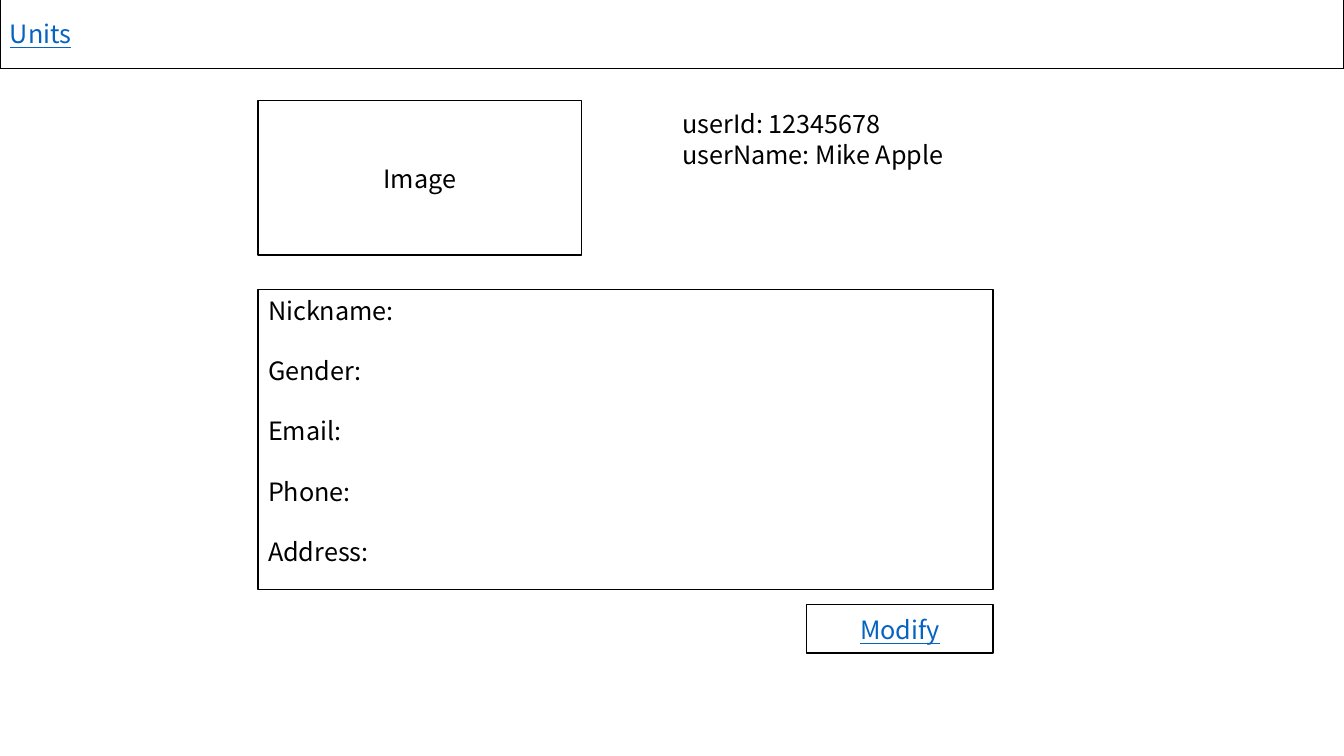
from pptx import Presentation
from pptx import util as u
from pptx.dml.color import RGBColor
from pptx.enum import shapes, text

COLORS = {"paper": "FFFFFF", "ink": "000000", "link": "0563C1"}
LEFT, RIGHT = 2.56, 9.85  # edges of the profile column
FORMATS = {
    "plain": {"size": u.Pt(18), "name": "Noto Sans CJK SC"},
    "link": {"size": u.Pt(18), "name": "Noto Sans CJK SC", "underline": True},
}


def color(key):
    return RGBColor.from_string(COLORS[key])


def write(frame, lines, style="plain", align=text.PP_ALIGN.LEFT,
          anchor=text.MSO_ANCHOR.MIDDLE, gap=0):
    frame.word_wrap = True
    frame.vertical_anchor = anchor
    for index, line in enumerate(lines):
        paragraph = frame.paragraphs[0] if index == 0 else frame.add_paragraph()
        layout = {"alignment": align, "line_spacing": u.Pt(22),
                  "space_after": u.Pt(gap)}
        for key, value in layout.items():
            setattr(paragraph, key, value)
        run = paragraph.add_run()
        run.text = line
        for key, value in FORMATS[style].items():
            setattr(run.font, key, value)
        run.font.color.rgb = color("link" if style == "link" else "ink")


def panel(slide, box, lines, **layout):
    frame = slide.shapes.add_shape(shapes.MSO_SHAPE.RECTANGLE, *map(u.Inches, box))
    frame.shadow.inherit = False
    frame.fill.solid()
    frame.fill.fore_color.rgb = color("paper")
    frame.line.color.rgb = color("ink")
    frame.line.width = u.Pt(1)
    write(frame.text_frame, lines, **layout)


# Navigation bar
def navigation(slide, box):
    panel(slide, box, ["Units"], style="link")


# Portrait with the account details to its right
def account(slide, box):
    left, top, width, height = box
    panel(slide, (left, top, 0.44 * width, height), ["Image"],
          align=text.PP_ALIGN.CENTER)
    details = slide.shapes.add_textbox(
        *map(u.Inches, (6.67, top + 0.02, 7.1, 0.71)))
    write(details.text_frame, ["userId: 12345678", "userName: Mike Apple"],
          anchor=text.MSO_ANCHOR.TOP)


# Profile fields with the button under their right edge
def profile(slide, box):
    left, top, width, height = box
    fields = ["Nickname:", "Gender:", "Email:", "Phone:", "Address:"]
    panel(slide, box, fields, anchor=text.MSO_ANCHOR.TOP, gap=21.2)
    button_width = 1.85
    panel(slide, (left + width - button_width, top + height + 0.15,
                  button_width, 0.48),
          ["Modify"], style="link", align=text.PP_ALIGN.CENTER)


deck = Presentation()
deck.slide_width, deck.slide_height = u.Inches(13.33), u.Inches(7.5)
user_page = deck.slides.add_slide(deck.slide_layouts[6])
profile(user_page, (LEFT, 2.87, RIGHT - LEFT, 2.98))
navigation(user_page, (0, -0.02, 13.33, 0.7))
account(user_page, (LEFT, 1, RIGHT - LEFT, 1.53))
deck.save("out.pptx")
